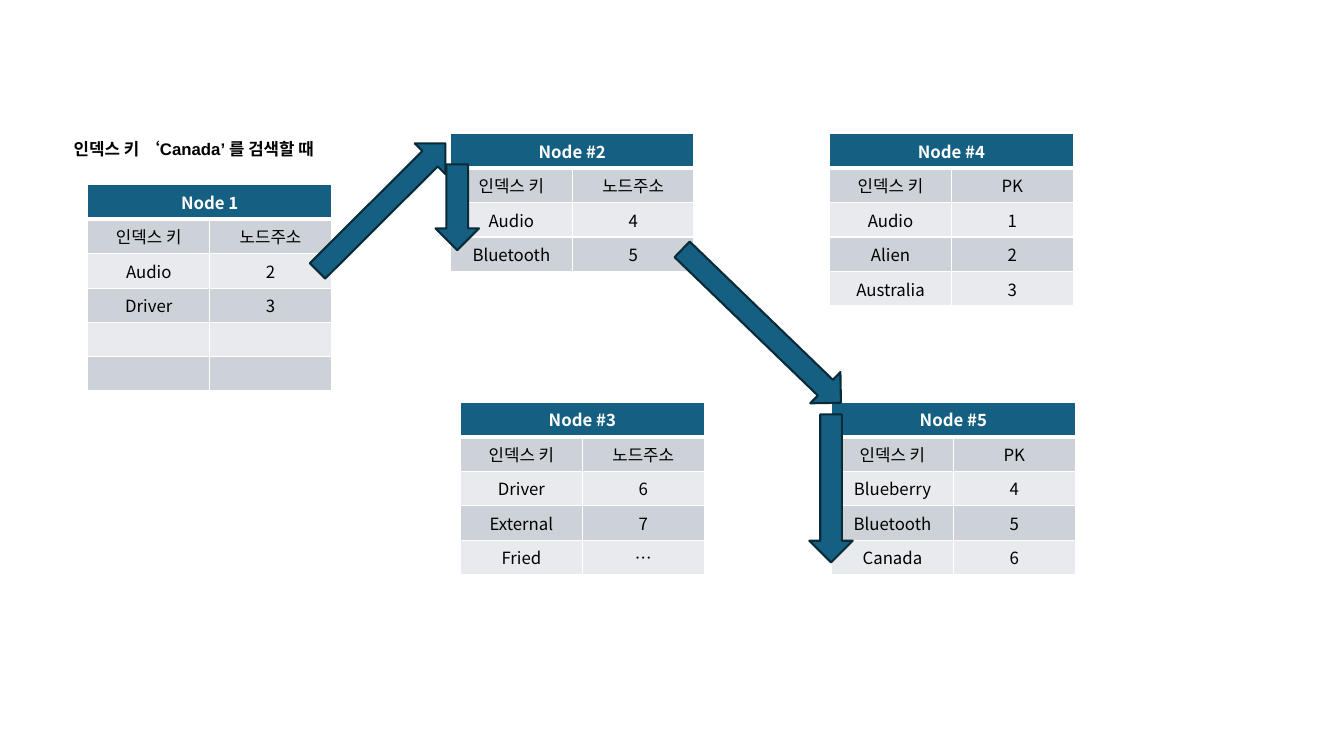
from lxml.etree import SubElement
from pptx import Presentation
from pptx.dml.color import RGBColor
from pptx.enum.shapes import MSO_SHAPE as Shape
from pptx.enum.text import MSO_ANCHOR as Anchor, PP_ALIGN as Align
from pptx.oxml.ns import qn
from pptx.util import Pt

BLUE, OUTLINE, WHITE, BLACK = "156082", "092A39", "FFFFFF", "000000"
BANDS = ("CCD2D8", "E8EAED")
TABLE_FONT = "Noto Sans CJK KR"
COLUMN_WIDTH, ROW_HEIGHT = 87, 24.3
ARROW_THICKNESS = 31

KEY_TO_NODE = ("인덱스 키", "노드주소")
KEY_TO_PK = ("인덱스 키", "PK")
NODES = [
    (62.8, 132, "Node 1",
     [KEY_TO_NODE, ("Audio", "2"), ("Driver", "3"), ("", ""), ("", "")]),
    (321.8, 95.4, "Node #2",
     [KEY_TO_NODE, ("Audio", "4"), ("Bluetooth", "5")]),
    (329, 287.4, "Node #3",
     [KEY_TO_NODE, ("Driver", "6"), ("External", "7"), ("Fried", "…")]),
    (592.6, 95.4, "Node #4",
     [KEY_TO_PK, ("Audio", "1"), ("Alien", "2"), ("Australia", "3")]),
    (594, 287.4, "Node #5",
     [KEY_TO_PK, ("Blueberry", "4"), ("Bluetooth", "5"), ("Canada", "6")]),
]
# left, top, length, rotation
SEARCH_STEPS = [
    (208, 132.5, 129, 315.1),
    (296, 132.5, 61.2, 90),
    (465.1, 217.4, 157.7, 44),
    (540.7, 333.4, 105.8, 90),
]


def paint(fill, color):
    fill.solid()
    fill.fore_color.rgb = RGBColor.from_string(color)


def write(para, text, color, **format_values):
    span = para.add_run()
    span.text = text
    for name, value in format_values.items():
        setattr(span.font, name, value)
    paint(span.font.fill, color)
    return span


def border(cell, widths):
    """Draw white borders; widths maps a side (L, R, T, B) to points."""
    properties = cell._tc.get_or_add_tcPr()
    for side, width in widths.items():
        line = SubElement(properties, qn(f"a:ln{side}"), w=str(Pt(width)))
        solid = SubElement(line, qn("a:solidFill"))
        SubElement(solid, qn("a:srgbClr"), val=WHITE)


def fill_cell(cell, text, row):
    is_header = row == 0
    border(cell, {"L": 1, "R": 1, "T": 3 if row == 1 else 1, "B": 3 if is_header else 1})
    paint(cell.fill, BLUE if is_header else BANDS[(row - 1) % 2])
    cell.vertical_anchor = Anchor.MIDDLE
    para = cell.text_frame.paragraphs[0]
    para.alignment = Align.CENTER
    if text:
        span = write(para, text, WHITE if is_header else BLACK,
                     size=Pt(12), bold=is_header, name=TABLE_FONT)
        SubElement(span._r.get_or_add_rPr(), qn("a:ea"), typeface=TABLE_FONT)
    else:
        SubElement(para._p, qn("a:endParaRPr"), sz="1200")


def add_node(page, left, top, title, entries):
    rows = [(title, ""), *entries]
    table = page.shapes.add_table(
        len(rows), 2, Pt(left), Pt(top),
        Pt(2 * COLUMN_WIDTH), Pt(len(rows) * ROW_HEIGHT)).table
    for column in table.columns:
        column.width = Pt(COLUMN_WIDTH)
    for row, texts in enumerate(rows):
        table.rows[row].height = Pt(ROW_HEIGHT)
        for column, text in enumerate(texts):
            fill_cell(table.cell(row, column), text, row)
    table.cell(0, 0).merge(table.cell(0, 1))


def add_arrow(page, left, top, length, rotation):
    arrow = page.shapes.add_shape(
        Shape.RIGHT_ARROW, Pt(left), Pt(top), Pt(length), Pt(ARROW_THICKNESS))
    arrow.rotation = rotation
    arrow.shadow.inherit = False
    paint(arrow.fill, BLUE)
    paint(arrow.line.fill, OUTLINE)
    arrow.line.width = Pt(1.5)


def add_caption(page, text):
    box = page.shapes.add_textbox(Pt(45.6), Pt(95.2), Pt(193.6), Pt(21.8))
    box.text_frame.word_wrap = False
    write(box.text_frame.paragraphs[0], text, BLACK,
          size=Pt(12), bold=True, name="Arial")


def main():
    deck = Presentation()
    deck.slide_width, deck.slide_height = Pt(960), Pt(540)
    page = deck.slides.add_slide(deck.slide_layouts[6])
    for node in NODES:
        add_node(page, *node)
    add_caption(page, "인덱스 키 ‘Canada’ 를 검색할 때")
    for step in SEARCH_STEPS:
        add_arrow(page, *step)
    deck.save("out.pptx")


if __name__ == "__main__":
    main()
